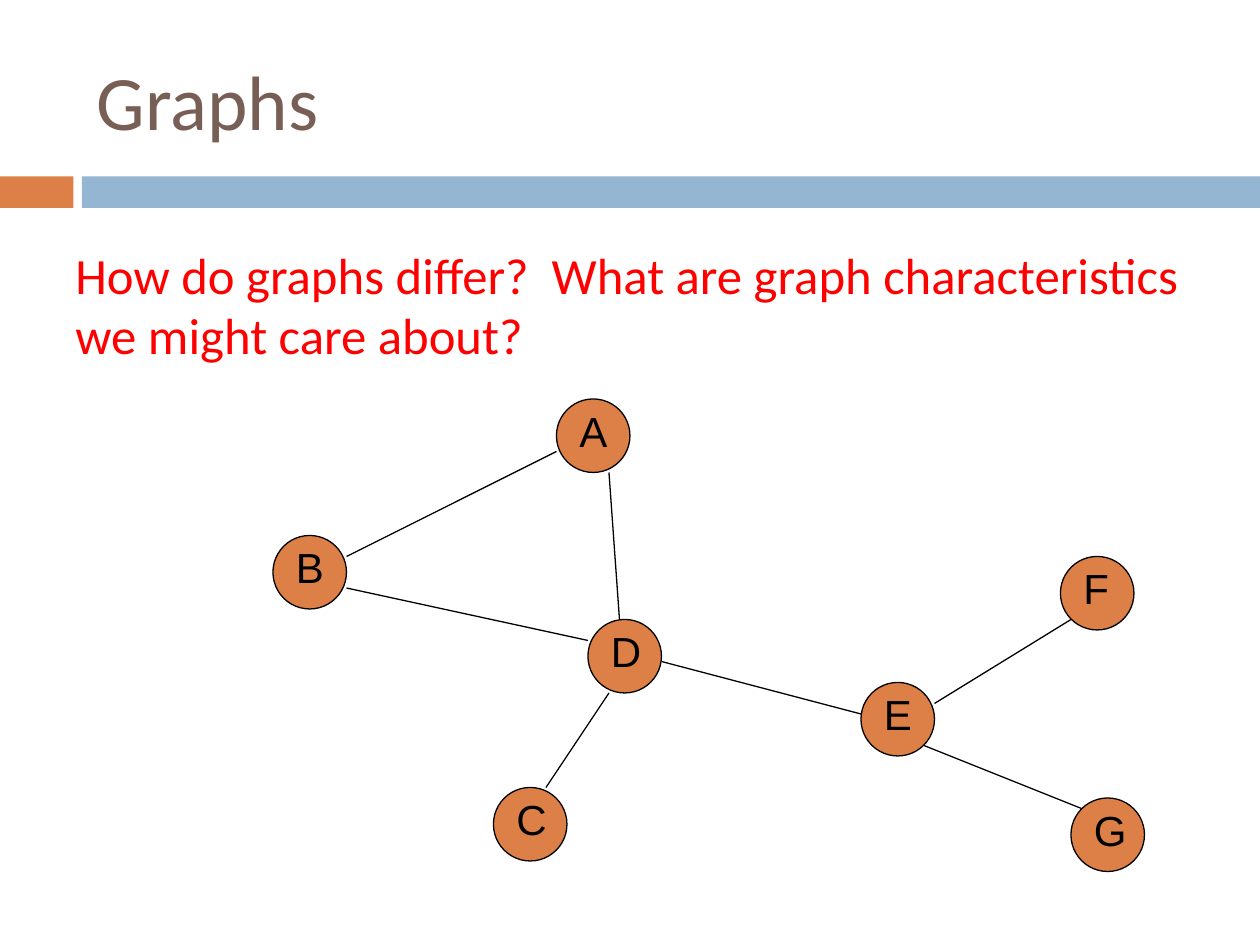
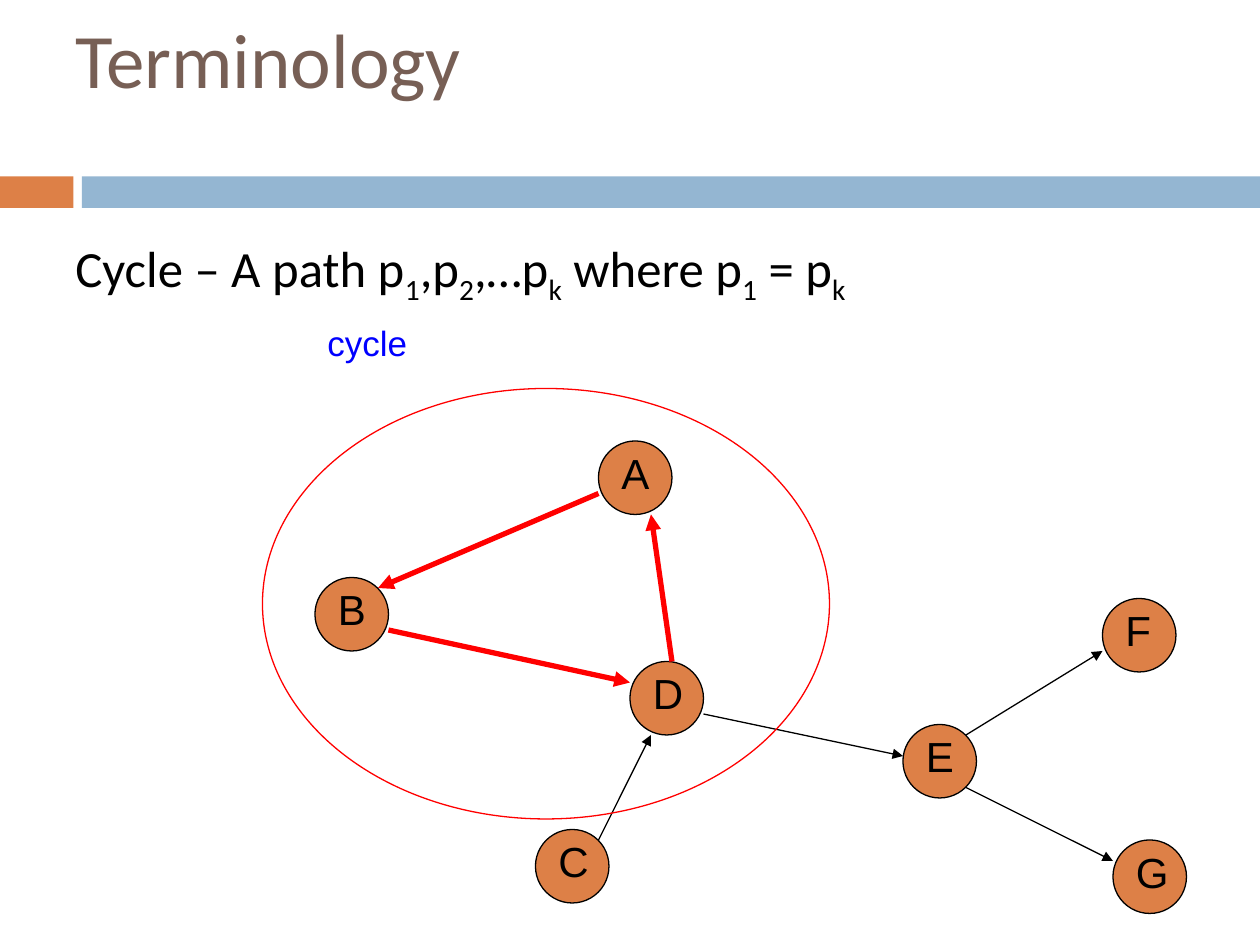
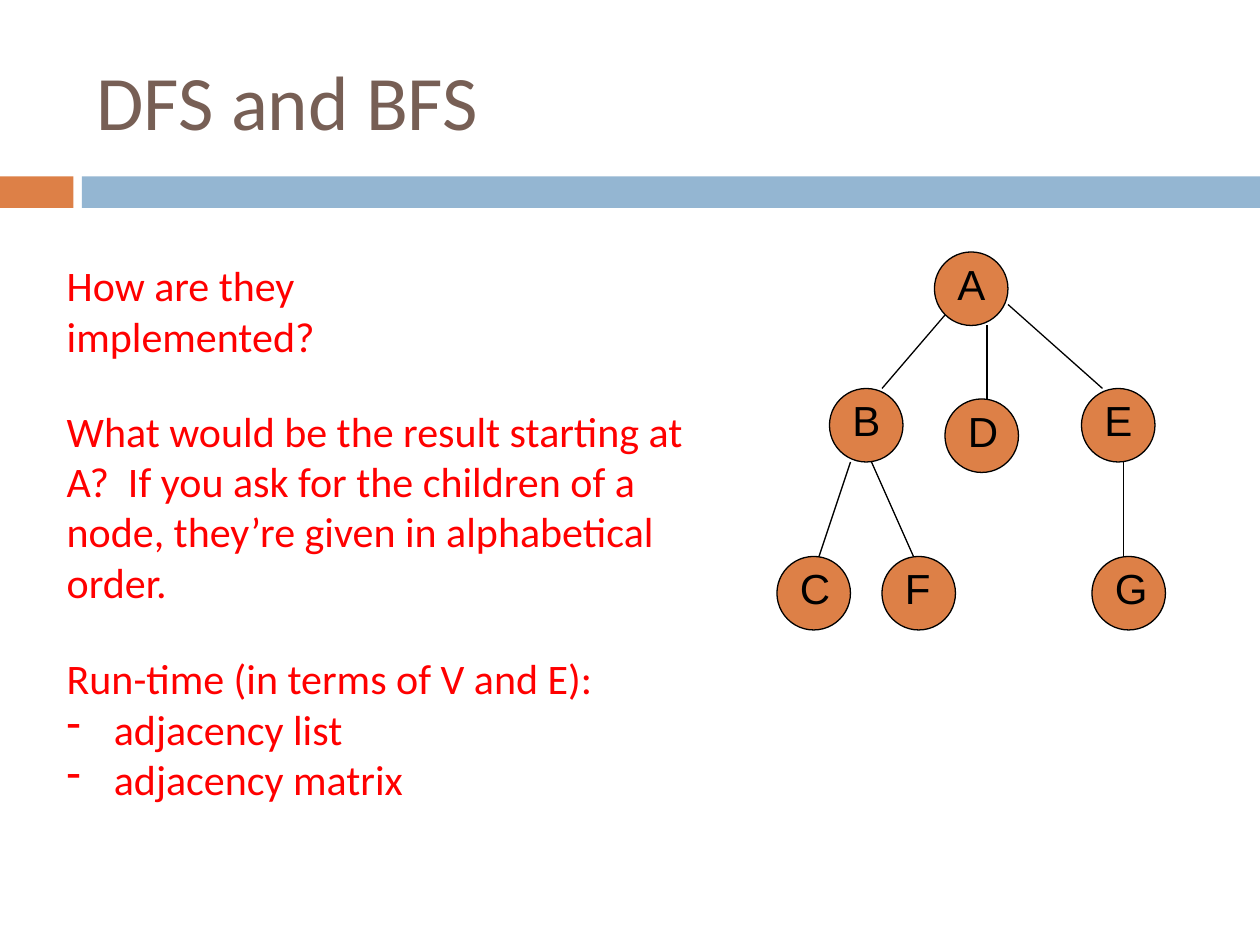
"""Build three slides about graphs, cycles and graph search."""
from dataclasses import dataclass

import lxml.etree
import pptx
import pptx.dml.color
import pptx.enum.shapes
import pptx.enum.text
import pptx.oxml.ns
import pptx.presentation
import pptx.shapes.autoshape
import pptx.slide
import pptx.text.text
import pptx.util

Pt = pptx.util.Pt
RGBColor = pptx.dml.color.RGBColor
Shape = pptx.enum.shapes.MSO_SHAPE
Anchor = pptx.enum.text.MSO_ANCHOR
qn = pptx.oxml.ns.qn

ORANGE = RGBColor(0xDD, 0x80, 0x47)
BLUE = RGBColor(0x94, 0xB6, 0xD2)
BROWN = RGBColor(0x77, 0x5F, 0x55)
RED = RGBColor(0xFF, 0x00, 0x00)
INK = RGBColor(0x00, 0x00, 0x00)
LINK = RGBColor(0x00, 0x00, 0xFF)
BODY = "Calibri"
LABEL = "Arial"
NODE = 42
THIN = 0.75
THICK = 3


@dataclass(frozen=True)
class Box:
    left: float
    top: float
    width: float
    height: float

    def lengths(self) -> list[int]:
        return [Pt(n) for n in (self.left, self.top, self.width, self.height)]


@dataclass(frozen=True)
class Node:
    name: str
    left: float
    top: float


@dataclass(frozen=True)
class Edge:
    x1: float
    y1: float
    x2: float
    y2: float
    color: RGBColor = INK
    width: float = THIN
    arrow: bool = False


TITLE = Box(48, 18, 642, 78)
BANDS = [(Box(0, 100.8, 42, 18), ORANGE), (Box(46.8, 100.8, 673.2, 18), BLUE)]

GRAPH = [
    Node("A", 318, 228),
    Node("B", 156, 306),
    Node("C", 282, 450),
    Node("E", 492, 390),
    Node("D", 336, 354),
    Node("F", 606, 318),
    Node("G", 612, 456),
]
LINKS = [
    Edge(198, 318, 318, 258),
    Edge(198, 336, 336, 366),
    Edge(354, 354, 348, 270),
    Edge(348, 396, 312, 450),
    Edge(378, 378, 492, 408),
    Edge(534, 402, 612, 354),
    Edge(528, 426, 618, 462),
]
SHIFT = 24
CYCLE = [
    Edge(222, 360, 360, 390, RED, THICK, True),
    Edge(384, 378, 372, 294, RED, THICK, True),
    Edge(342, 282, 216, 336, RED, THICK, True),
]
ARROWS = [
    Edge(342, 480, 372, 420, arrow=True),
    Edge(402, 408, 516, 432, arrow=True),
    Edge(552, 420, 630, 372, arrow=True),
    Edge(552, 450, 636, 492, arrow=True),
]
TREE = [
    Node("A", 534, 144),
    Node("B", 474, 222),
    Node("C", 444, 318),
    Node("E", 618, 222),
    Node("D", 540, 228),
    Node("F", 504, 318),
    Node("G", 624, 318),
]
LIMBS = [
    Edge(564, 228, 564, 186),
    Edge(540, 180, 504, 222),
    Edge(486, 264, 468, 318),
    Edge(498, 264, 522, 318),
    Edge(576, 174, 630, 222),
    Edge(642, 264, 642, 318),
]


def write(frame: pptx.text.text.TextFrame, text: str, *, size: float,
          color: RGBColor, font: str = BODY, anchor: Anchor = Anchor.TOP) -> None:
    """Fill a frame: each line is a paragraph, "- " a bullet, |x| a subscript."""
    frame.word_wrap = True
    frame.auto_size = pptx.enum.text.MSO_AUTO_SIZE.NONE
    frame.vertical_anchor = anchor
    for count, line in enumerate(text.split("\n")):
        para = frame.add_paragraph() if count else frame.paragraphs[0]
        para.alignment = pptx.enum.text.PP_ALIGN.LEFT
        if line.startswith("- "):
            line = line[2:]
            props = para._p.get_or_add_pPr()
            props.set("marL", str(Pt(27)))
            props.set("indent", str(-Pt(27)))
            lxml.etree.SubElement(props, qn("a:buChar")).set("char", "-")
        for index, part in enumerate(line.split("|")):
            run = para.add_run()
            run.text = part
            run.font.name = font
            run.font.size = Pt(size)
            run.font.color.rgb = color
            if index % 2:
                run._r.get_or_add_rPr().set("baseline", "-25000")


def add_text(shapes, box: Box, text: str, **style) -> None:
    """Add a text box."""
    write(shapes.add_textbox(*box.lengths()).text_frame, text, **style)


def add_shape(shapes, kind: Shape, box: Box, fill: RGBColor | None = None,
              line: RGBColor | None = None) -> None:
    """Add a flat preset shape with an optional fill and outline."""
    shape = shapes.add_shape(kind, *box.lengths())
    shape.shadow.inherit = False
    if fill is None:
        shape.fill.background()
    else:
        shape.fill.solid()
        shape.fill.fore_color.rgb = fill
    if line is None:
        shape.line.fill.background()
    else:
        shape.line.color.rgb = line
        shape.line.width = Pt(THIN)


def add_node(slide: pptx.slide.Slide, node: Node, shift: float = 0) -> None:
    """Add a graph node as a circle grouped with its label."""
    left, top = node.left + shift, node.top + shift
    shapes = slide.shapes.add_group_shape().shapes
    add_shape(shapes, Shape.OVAL, Box(left, top, NODE, NODE), ORANGE, INK)
    add_text(shapes, Box(left + 6, top, 36, 36), node.name,
             size=24, color=INK, font=LABEL)


def add_edge(slide: pptx.slide.Slide, edge: Edge) -> None:
    """Add a straight edge, with an arrowhead if it has a direction."""
    ends = [Pt(n) for n in (edge.x1, edge.y1, edge.x2, edge.y2)]
    link = slide.shapes.add_connector(
        pptx.enum.shapes.MSO_CONNECTOR.STRAIGHT, *ends)
    link.line.color.rgb = edge.color
    link.line.width = Pt(edge.width)
    if edge.arrow:
        head = lxml.etree.SubElement(link.line._get_or_add_ln(), qn("a:tailEnd"))
        head.set("type", "triangle")
    lxml.etree.SubElement(link._element.spPr, qn("a:effectLst"))


def draw_graph(slide: pptx.slide.Slide, nodes: list[Node], edges: list[Edge],
               shift: float = 0) -> None:
    """Draw the nodes and then the edges of one graph."""
    for node in nodes:
        add_node(slide, node, shift)
    for edge in edges:
        add_edge(slide, edge)


def add_slide(deck: pptx.presentation.Presentation, title: str,
              box: Box = TITLE) -> pptx.slide.Slide:
    """Add a slide with its title and the two bands."""
    slide = deck.slides.add_slide(deck.slide_layouts[5])
    head = slide.shapes.title
    head.left, head.top, head.width, head.height = box.lengths()
    write(head.text_frame, title, size=44, color=BROWN, anchor=Anchor.MIDDLE)
    for band, color in BANDS:
        add_shape(slide.shapes, Shape.RECTANGLE, band, color)
    return slide


def graph_slide(deck: pptx.presentation.Presentation) -> None:
    """Ask how graphs differ."""
    slide = add_slide(deck, "Graphs")
    add_text(slide.shapes, Box(36, 135.5, 648, 104),
             "How do graphs differ?  What are graph characteristics "
             "we might care about?", size=29, color=RED)
    draw_graph(slide, GRAPH, LINKS)


def cycle_slide(deck: pptx.presentation.Presentation) -> None:
    """Define a cycle and mark one."""
    slide = add_slide(deck, "Terminology", Box(36, -18, 594, 102))
    add_text(slide.shapes, Box(36, 132, 648, 84),
             "Cycle – A path p|1|,p|2|,…p|k| where p|1| = p|k",
             size=29, color=INK)
    draw_graph(slide, GRAPH, ARROWS + CYCLE, SHIFT)
    add_shape(slide.shapes, Shape.OVAL, Box(150, 222, 324, 246), line=RED)
    add_text(slide.shapes, Box(180, 180, 180, 31), "cycle",
             size=20, color=LINK, font=LABEL)


def search_slide(deck: pptx.presentation.Presentation) -> None:
    """Ask about depth-first and breadth-first search."""
    slide = add_slide(deck, "DFS and BFS")
    draw_graph(slide, TREE, LIMBS)
    for box, text in (
        (Box(31, 145, 284, 36), "How are they implemented?"),
        (Box(31, 228, 395, 94),
         "What would be the result starting at A?  If you ask for the children "
         "of a node, they’re given in alphabetical order."),
        (Box(31, 369.5, 329, 94),
         "Run-time (in terms of V and E):\n- adjacency list\n- adjacency matrix"),
    ):
        add_text(slide.shapes, box, text, size=24, color=RED)


def main() -> None:
    """Build and save the deck."""
    deck = pptx.Presentation()
    deck.slide_width, deck.slide_height = Pt(720), Pt(540)
    graph_slide(deck)
    cycle_slide(deck)
    search_slide(deck)
    deck.save("out.pptx")


if __name__ == "__main__":
    main()
